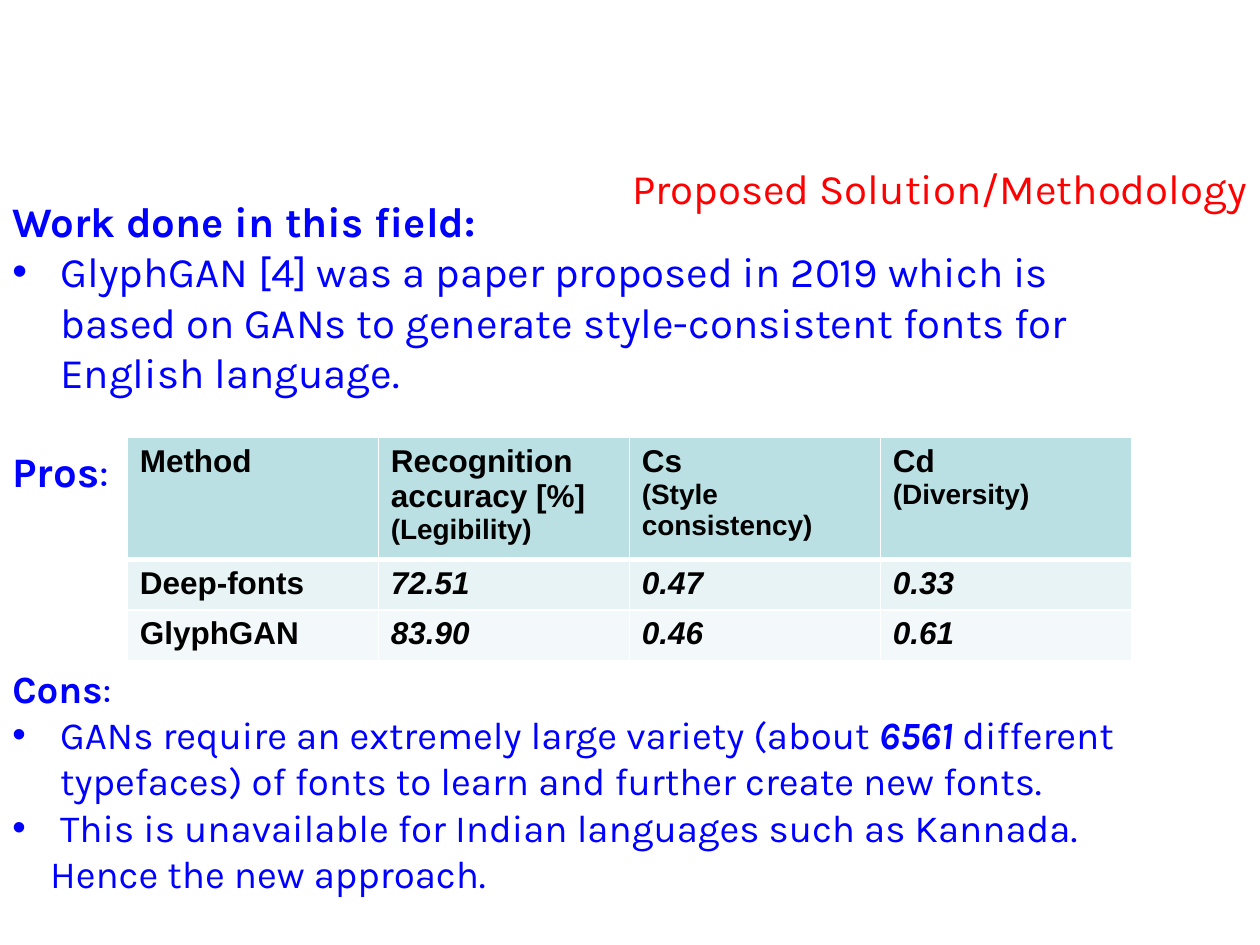
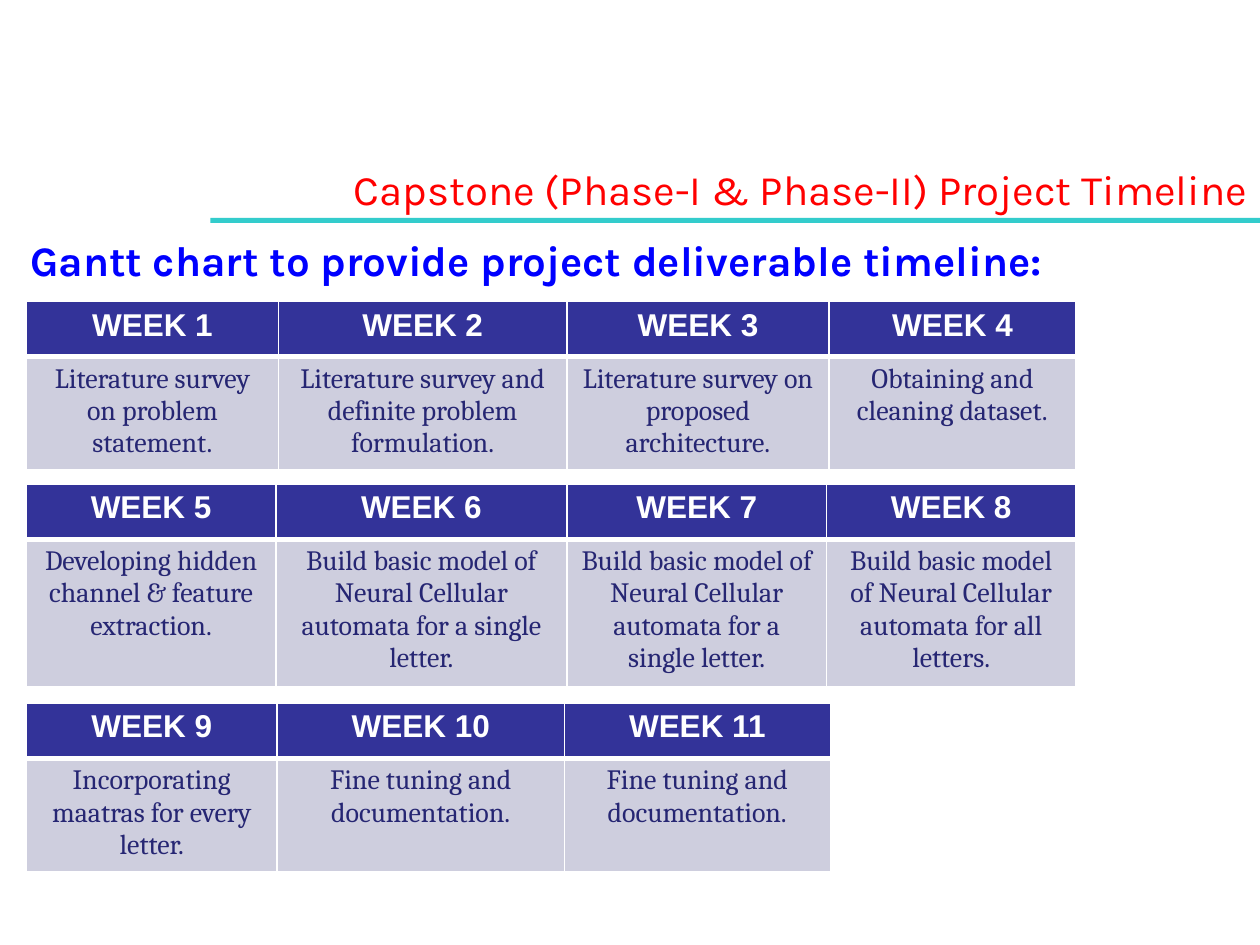
from dataclasses import dataclass

from lxml.etree import SubElement
from pptx import Presentation
from pptx.dml.color import RGBColor as Rgb
from pptx.enum.shapes import MSO_SHAPE as Shape
from pptx.enum.text import PP_ALIGN as Align
from pptx.oxml.ns import qn
from pptx.util import Inches, Pt


@dataclass(frozen=True)
class Theme:
    white: str = "FFFFFF"
    black: str = "000000"
    red: str = "FF0000"
    blue: str = "0000FF"
    band: str = "33CCCC"
    mint: str = "BBE0E3"
    mists: tuple = ("E7F3F4", "F3F9FA")
    navy: str = "333399"
    lilac: str = "CECEDE"
    ink: str = "262673"
    main: str = "Karla"
    sans: str = "Arial"
    serif: str = "Cambria"
    big: int = 24
    mid: int = 22
    cell: int = 18
    small: int = 16
    thin: int = 1
    thick: int = 3


THEME = Theme()
TITLE = dict(name=THEME.main, size=THEME.big, color=THEME.red)
LEAD = dict(name=THEME.main, size=THEME.big, color=THEME.blue)
BODY = LEAD | dict(size=THEME.mid)
DATA = dict(name=THEME.sans, size=THEME.cell, color=THEME.black, bold=True)
NOTE = DATA | dict(size=THEME.small)
WEEK = DATA | dict(color=THEME.white)
TASK = dict(name=THEME.serif, size=THEME.small, color=THEME.ink, bold=False)
BOLD = dict(bold=True)
STRONG = dict(bold=True, italic=True)

SCORES = [
    [["Method"], ["Recognition accuracy [%]", "(Legibility)"],
     ["Cs", "(Style consistency)"], ["Cd", "(Diversity)"]],
    [["Deep-fonts"], ["72.51"], ["0.47"], ["0.33"]],
    [["GlyphGAN"], ["83.90"], ["0.46"], ["0.61"]],
]

LETTER = "Build basic model of Neural Cellular automata for a single letter."
TUNING = "Fine tuning and documentation."
# Top, height of the task row, column widths, tasks
PLAN = [
    (2.39, 0.9, [2, 2.29, 2.08, 1.96],
     ["Literature survey on problem statement.",
      "Literature survey and definite problem formulation.",
      "Literature survey on proposed architecture.",
      "Obtaining and cleaning dataset."]),
    (3.84, 1.17, [1.98, 2.31, 2.06, 1.98],
     ["Developing hidden channel & feature extraction.", LETTER, LETTER,
      "Build basic model of Neural Cellular automata for all letters."]),
    (5.58, 0.9, [1.99, 2.28, 2.11],
     ["Incorporating maatras for every letter.", TUNING, TUNING]),
]


def style(font, form):
    for key, val in form.items():
        if key == "color":
            font.color.rgb = Rgb.from_string(val)
        else:
            setattr(font, key, Pt(val) if key == "size" else val)


def indent(para, left, bullet=False):
    """Set the left margin in inches, with a hanging bullet if asked."""
    props = para._p.get_or_add_pPr()
    props.set("marL", str(Inches(left)))
    if bullet:
        props.set("indent", str(-Inches(left)))
        SubElement(props, qn("a:buFont"), typeface=THEME.sans)
        SubElement(props, qn("a:buChar"), char="•")


def write(frame, paras, align=Align.LEFT):
    """Fill a frame from (runs, left margin, bullet) paragraphs of (text, format) runs."""
    for i, (runs, left, bullet) in enumerate(paras):
        para = frame.add_paragraph() if i else frame.paragraphs[0]
        para.alignment = align
        if left:
            indent(para, left, bullet)
        for words, form in runs:
            run = para.add_run()
            run.text = words
            style(run.font, form)


def plain(words, form, left=0, bullet=False):
    return [(words, form)], left, bullet


def add_text(slide, box, paras, align=Align.LEFT):
    frame = slide.shapes.add_textbox(*map(Inches, box)).text_frame
    frame.word_wrap = True
    write(frame, paras, align)


def add_title(slide, box, words):
    add_text(slide, box, [plain(words, TITLE)], Align.RIGHT)


def add_band(slide, box):
    band = slide.shapes.add_shape(Shape.RECTANGLE, *map(Inches, box))
    band.shadow.inherit = False
    band.fill.solid()
    band.fill.fore_color.rgb = Rgb.from_string(THEME.band)
    band.line.fill.background()


def edge(cell, row):
    """Draw white borders, thick between the head row and the next."""
    props = cell._tc.get_or_add_tcPr()
    heavy = {0: "B", 1: "T"}.get(row)
    for side in "LRTB":
        width = THEME.thick if side == heavy else THEME.thin
        line = SubElement(props, qn(f"a:ln{side}"), w=str(Pt(width)))
        fill = SubElement(line, qn("a:solidFill"))
        SubElement(fill, qn("a:srgbClr"), val=THEME.white)


def add_grid(slide, left, top, cols, rows, cells, fills, align=Align.LEFT):
    """Add a table whose cells hold paragraphs and whose rows have one fill each."""
    box = left, top, sum(cols), sum(rows)
    grid = slide.shapes.add_table(len(rows), len(cols), *map(Inches, box)).table
    for col, width in zip(grid.columns, cols):
        col.width = Inches(width)
    for r, (height, fill) in enumerate(zip(rows, fills)):
        grid.rows[r].height = Inches(height)
        for c, paras in enumerate(cells[r]):
            cell = grid.cell(r, c)
            edge(cell, r)
            cell.fill.solid()
            cell.fill.fore_color.rgb = Rgb.from_string(fill)
            write(cell.text_frame, paras, align)


def add_scores(slide, left, top, width):
    def form(r, c, i):
        if i == len(SCORES[r][c]) - 1 > 0:
            return NOTE
        return DATA | dict(italic=r > 0 and c > 0)

    cells = [[[plain(words, form(r, c, i)) for i, words in enumerate(lines)]
              for c, lines in enumerate(row)] for r, row in enumerate(SCORES)]
    count = len(SCORES[0])
    add_grid(slide, left, top, [width / count] * count, [0.97, 0.4, 0.4],
             cells, [THEME.mint, *THEME.mists])


def add_plan(slide, left):
    week = 1
    for top, height, cols, tasks in PLAN:
        heads = [[plain(f"WEEK {week + i}", WEEK)] for i in range(len(tasks))]
        jobs = [[plain(task, TASK)] for task in tasks]
        add_grid(slide, left, top, cols, [0.44, height], [heads, jobs],
                 [THEME.navy, THEME.lilac], Align.CENTER)
        week += len(tasks)


def label(words, form):
    return [(words, form | BOLD), (":", form)], 0, False


def method_slide(slide):
    add_text(slide, (0, 1.5, 9.33, 1.72), [
        plain("Work done in this field:", LEAD | BOLD),
        plain("GlyphGAN [4] was a paper proposed in 2019 which is based on GANs "
              "to generate style-consistent fonts for English language.",
              LEAD, 0.38, True),
    ])
    add_text(slide, (0, 3.49, 1.01, 0.81), [label("Pros", LEAD)])
    add_text(slide, (0, 5.23, 9.33, 2.2), [
        label("Cons", BODY),
        ([("GANs require an extremely large variety (about ", BODY),
          ("6561", BODY | STRONG),
          (" different typefaces) of fonts to learn and further create new fonts.",
           BODY)], 0.38, True),
        plain("This is unavailable for Indian languages such as Kannada.",
              BODY, 0.38, True),
        plain("Hence the new approach.", BODY, 0.3),
    ])
    add_scores(slide, 1.01, 3.47, 7.97)
    add_title(slide, (2.92, 1.24, 7.08, 0.5), "Proposed Solution/Methodology")


def time_slide(slide):
    add_band(slide, (1.67, 1.73, 8.33, 0.04))
    add_title(slide, (1.5, 1.25, 8.5, 0.5),
              "Capstone (Phase-I & Phase-II) Project Timeline")
    add_text(slide, (-0.25, 1.81, 9.25, 0.44), [
        plain("Gantt chart to provide project deliverable timeline:",
              LEAD | BOLD, 0.39)])
    add_plan(slide, 0.21)


def main():
    deck = Presentation()
    deck.slide_width, deck.slide_height = Inches(10), Inches(7.5)
    blank = deck.slide_layouts[6]
    for build in (method_slide, time_slide):
        build(deck.slides.add_slide(blank))
    deck.save("out.pptx")


if __name__ == "__main__":
    main()
